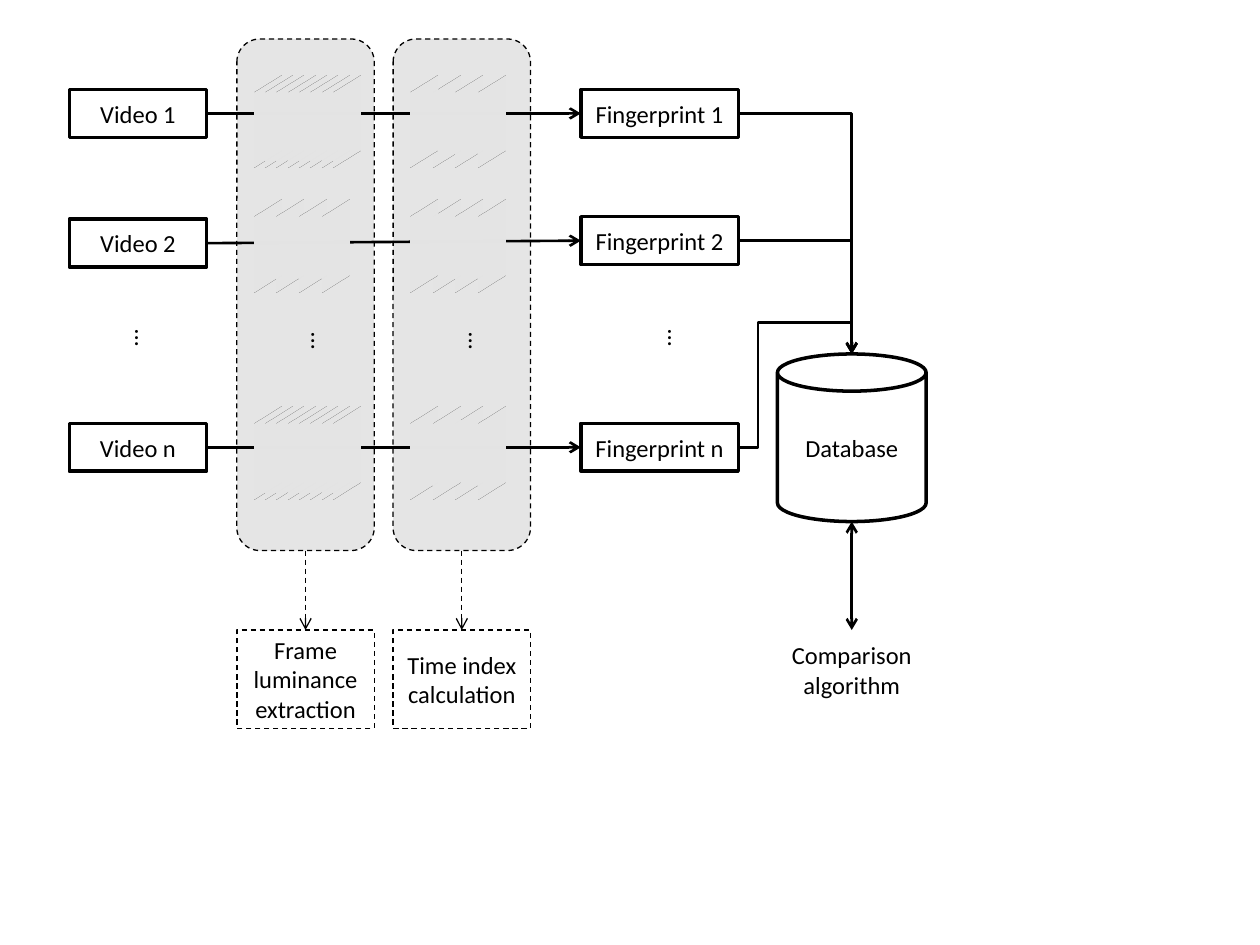
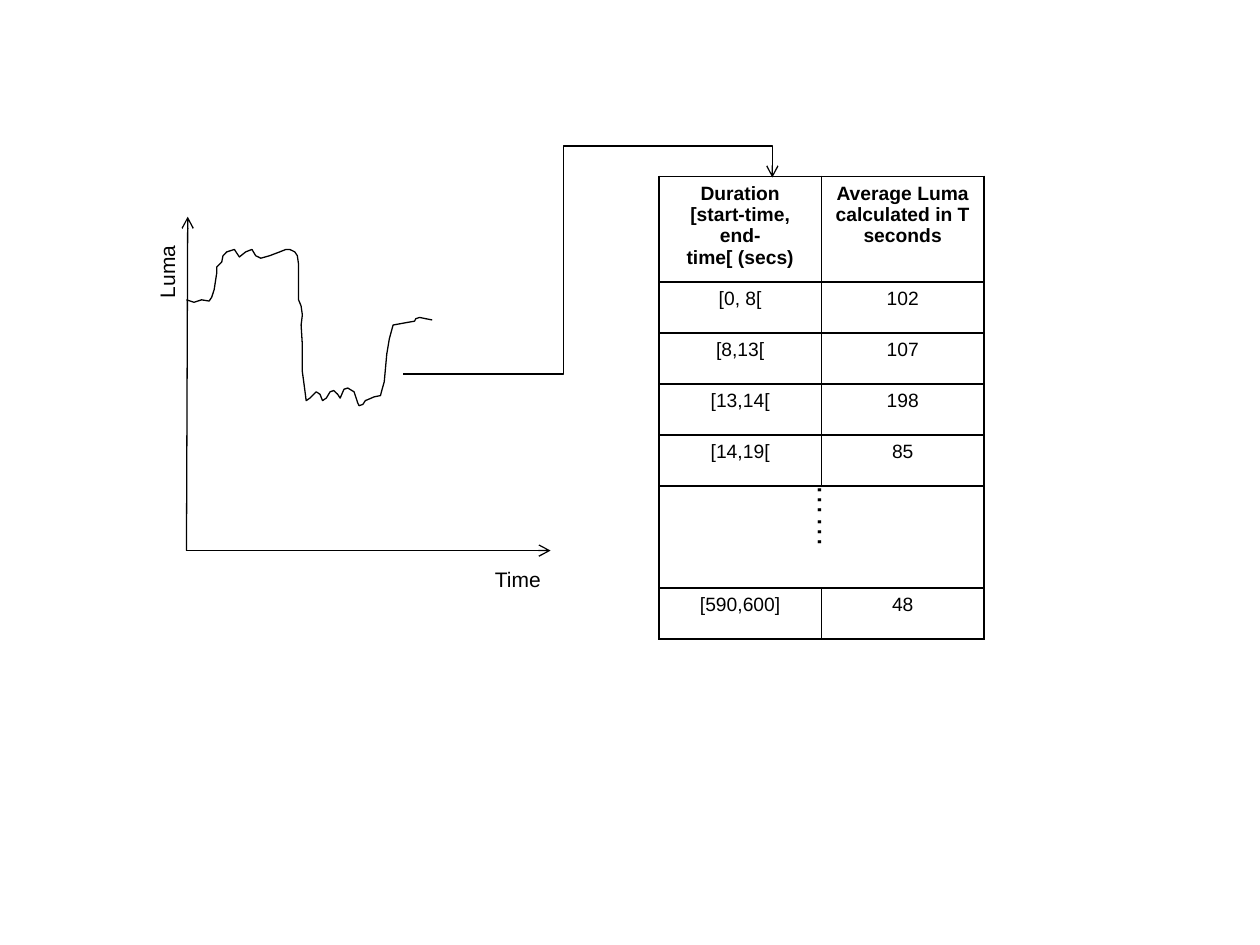
"""Build two slides: a video fingerprinting flow and a luma curve with its index table."""
from itertools import product

from lxml.etree import SubElement
from pptx import Presentation
from pptx.dml.color import RGBColor
from pptx.enum.dml import MSO_LINE
from pptx.enum.shapes import MSO_CONNECTOR, MSO_SHAPE
from pptx.enum.text import MSO_ANCHOR, PP_ALIGN
from pptx.oxml.ns import qn
from pptx.util import Inches, Pt

BLACK, WHITE = "000000", "FFFFFF"
rgb = RGBColor.from_string


def style(sp, width, fill=None, line=BLACK, dash=False, alpha=None, ends=(), bend=None, adj=(),
          camera=None):
    """Set fill, line, arrowheads, bend and camera of a shape or connector, without a shadow."""
    spPr = sp._element.spPr
    if fill:
        sp.fill.solid()
        sp.fill.fore_color.rgb = rgb(fill)
    elif hasattr(sp, "fill"):
        sp.fill.background()
    if alpha:
        SubElement(spPr.find(".//" + qn("a:srgbClr")), qn("a:alpha"), val=str(alpha * 1000))
    sp.line.width = Pt(width)
    sp.line.color.rgb = rgb(line)
    if dash:
        sp.line.dash_style = MSO_LINE.DASH
    for end in ends:
        SubElement(sp.line._get_or_add_ln(), qn(f"a:{end}End"), type="arrow")
    if bend:
        geom = spPr.find(qn("a:prstGeom"))
        geom.set("prst", bend)
        guides = geom.find(qn("a:avLst"))
        for i, share in enumerate(adj, 1):
            SubElement(guides, qn("a:gd"), name=f"adj{i}", fmla=f"val {round(share * 100000)}")
    SubElement(spPr, qn("a:effectLst"))
    if camera:
        scene = SubElement(spPr, qn("a:scene3d"))
        SubElement(scene, qn("a:camera"), prst=camera)
        SubElement(scene, qn("a:lightRig"), rig="threePt", dir="t")


def write(tf, text, size=14, name="Calibri", bold=False, align=PP_ALIGN.CENTER,
          anchor=MSO_ANCHOR.MIDDLE, wrap=True):
    """Put one paragraph per line of text into a text frame."""
    tf.word_wrap, tf.vertical_anchor = wrap, anchor
    for i, words in enumerate(text.split("\n")):
        p = tf.add_paragraph() if i else tf.paragraphs[0]
        p.alignment = align
        r = p.add_run()
        r.text = words
        for key, value in dict(size=Pt(size), name=name, bold=bold).items():
            setattr(r.font, key, value)
        r.font.color.rgb = rgb(BLACK)


prs = Presentation()
prs.slide_width, prs.slide_height = Inches(10), Inches(7.5)
blank = prs.slide_layouts[6]

s = prs.slides.add_slide(blank)
video_x, luma_x, index_x, print_x, base_x = 0.55, 1.88, 3.12, 4.61, 6.17
box_h, band_w, band_y, band_h, label_y = 0.38, 1.09, 0.31, 4.06, 5
print_w, base_w, base_y, base_h = 1.25, 1.18, 2.81, 1.33
print_right, base_mid = print_x + print_w, base_x + base_w / 2
frame_w, frame_h = 0.49, 0.63

# name, video top, fingerprint top, frame top, luma frames, luma step, index drawing order
tracks = [("1", 0.71, 0.71, 0.65, 8, 0.09, (1, 2, 3, 0)),
          ("2", 1.74, 1.72, 1.64, 4, 0.18, (1, 2, 3, 0)),
          ("n", 3.36, 3.36, 3.28, 8, 0.09, (0, 2, 3, 1))]
for name, video_y, print_y, frame_y, count, step, order in tracks:
    ends = []
    for label, x, y, w in [("Video", video_x, video_y, band_w),
                           ("Fingerprint", print_x, print_y, print_w)]:
        sp = s.shapes.add_shape(MSO_SHAPE.RECTANGLE, *map(Inches, (x, y, w, box_h)))
        style(sp, 2, WHITE)
        write(sp.text_frame, f"{label} {name}")
        ends.append(sp)
    flow = s.shapes.add_connector(MSO_CONNECTOR.STRAIGHT, 0, 0, 0, 0)
    flow.begin_connect(ends[0], 3)
    flow.end_connect(ends[1], 1)
    style(flow, 1.5, ends=["tail"])

    lefts = [luma_x + i * step for i in range(count)] + [index_x + i * 0.18 for i in order]
    for x in lefts:
        sp = s.shapes.add_shape(MSO_SHAPE.RECTANGLE, *map(Inches, (x, frame_y, frame_w, frame_h)))
        style(sp, 2, WHITE, camera="isometricOffAxis2Right")

    mid = print_y + box_h / 2
    bend, adj = "bentConnector2", ()
    if mid > base_y:
        bend, adj = "bentConnector4", (0.174, 1.339)
    feed = s.shapes.add_connector(MSO_CONNECTOR.ELBOW,
                                  *map(Inches, (print_right, mid, base_mid, base_y)))
    style(feed, 1.5, ends=["tail"], bend=bend, adj=adj)

for x, y in [(0.59, 2.53), (1.99, 2.55), (3.24, 2.55), (4.82, 2.53)]:
    sp = s.shapes.add_textbox(*map(Inches, (x, y, 0.83, 0.31)))
    sp.rotation = 270
    write(sp.text_frame, "…", anchor=MSO_ANCHOR.TOP)

for x, label in [(luma_x, "Frame luminance extraction"), (index_x, "Time index calculation")]:
    band = s.shapes.add_shape(MSO_SHAPE.ROUNDED_RECTANGLE,
                              *map(Inches, (x, band_y, band_w, band_h)))
    style(band, 0.75, BLACK, dash=True, alpha=10)
    sp = s.shapes.add_shape(MSO_SHAPE.RECTANGLE, *map(Inches, (x, label_y, band_w, 0.78)))
    style(sp, 0.75, WHITE, dash=True)
    write(sp.text_frame, label)
    down = s.shapes.add_connector(MSO_CONNECTOR.STRAIGHT, 0, 0, 0, 0)
    down.begin_connect(band, 2)
    down.end_connect(sp, 0)
    style(down, 0.75, dash=True, ends=["tail"])

can = s.shapes.add_shape(MSO_SHAPE.CAN, *map(Inches, (base_x, base_y, base_w, base_h)))
style(can, 2)
for y, w, h, label in [(3.28, 1.02, 0.55, "Database"),
                       (label_y, base_w, 0.63, "Comparison algorithm")]:
    sp = s.shapes.add_shape(MSO_SHAPE.RECTANGLE, *map(Inches, (base_mid - w / 2, y, w, h)))
    style(sp, 2, WHITE, WHITE)
    write(sp.text_frame, label)
query = s.shapes.add_connector(MSO_CONNECTOR.STRAIGHT,
                               *map(Inches, (base_mid, base_y + base_h, base_mid, label_y)))
query.end_connect(sp, 0)
style(query, 1.5, ends=["head", "tail"])

s = prs.slides.add_slide(blank)
origin_x, origin_y, table_x, table_y, col_w, row_h = 1.48, 4.37, 5.23, 1.4, 1.29, 0.81 / 2
for x, y in [(1.49, 1.72), (4.37, origin_y)]:
    axis = s.shapes.add_connector(MSO_CONNECTOR.STRAIGHT,
                                  *map(Inches, (origin_x, origin_y, x, y)))
    style(axis, 0.75, ends=["tail"])

curve = [
    (1.48, 2.38), (1.54, 2.4), (1.6, 2.38), (1.66, 2.39), (1.68, 2.36), (1.7, 2.3), (1.72, 2.17),
    (1.72, 2.12), (1.76, 2.08), (1.77, 2.03), (1.8, 2), (1.86, 1.98), (1.9, 2.04), (1.95, 2),
    (2, 1.98), (2.03, 2.03), (2.07, 2.05), (2.14, 2.03), (2.22, 2), (2.27, 1.98), (2.3, 1.98),
    (2.34, 2), (2.36, 2.03), (2.37, 2.1), (2.37, 2.38), (2.39, 2.43), (2.4, 2.5), (2.39, 2.58),
    (2.4, 2.74), (2.4, 2.95), (2.42, 3.1), (2.43, 3.18), (2.46, 3.16), (2.51, 3.11),
    (2.54, 3.13), (2.56, 3.18), (2.59, 3.16), (2.62, 3.11), (2.65, 3.1), (2.68, 3.13),
    (2.7, 3.16), (2.73, 3.09), (2.76, 3.08), (2.81, 3.11), (2.84, 3.2), (2.85, 3.22),
    (2.88, 3.21), (2.9, 3.18), (2.97, 3.15), (3.02, 3.14), (3.03, 3.1), (3.05, 3.03),
    (3.07, 2.81), (3.09, 2.69), (3.12, 2.58), (3.23, 2.56), (3.29, 2.55), (3.3, 2.53),
    (3.33, 2.52), (3.38, 2.53), (3.43, 2.54)]
points = [tuple(map(Inches, point)) for point in curve]
pen = s.shapes.build_freeform(*points[0])
pen.add_line_segments(points[1:], close=False)
style(pen.convert_to_shape(), 0.75)

rows = [("Duration\n[start-time, end-time[ (secs)", "Average Luma calculated in T seconds"),
        ("[0, 8[", "102"), ("[8,13[", "107"), ("[13,14[", "198"), ("[14,19[", "85"),
        ("", ""), ("[590,600]", "48")]
heights = [0.84, *[row_h] * 4, 2 * row_h, row_h]
table = s.shapes.add_table(len(rows), 2, *map(Inches, (table_x, table_y, 2 * col_w,
                                                       sum(heights)))).table
for row, h in zip(table.rows, heights):
    row.height = Inches(h)
for i, j in product(range(len(rows)), range(2)):
    cell = table.cell(i, j)
    tcPr = cell._tc.get_or_add_tcPr()
    for side in ("L", "R", "T", "B"):
        ln = SubElement(tcPr, qn(f"a:ln{side}"), w=str(Pt(1)))
        SubElement(SubElement(ln, qn("a:solidFill")), qn("a:srgbClr"), val=BLACK)
    cell.fill.solid()
    cell.fill.fore_color.rgb = rgb(WHITE)
    if rows[i][j]:
        write(cell.text_frame, rows[i][j], 11, "Arial", i == 0, anchor=MSO_ANCHOR.TOP)
table.cell(5, 0).merge(table.cell(5, 1))

lookup = s.shapes.add_connector(MSO_CONNECTOR.ELBOW, *map(Inches, (3.2, 2.97, 6.13, 1.41)))
style(lookup, 0.75, ends=["tail"], bend="bentConnector4", adj=(0.434, 1.16))

for text, box, turn, size, wrap in [("Luma", (0.99, 1.98, 0.67, 0.3), 270, 12, False),
                                    ("……", (6.24, 3.9, 0.7, 0.4), 90, 18, True),
                                    ("Time", (3.83, 4.45, 0.57, 0.3), 0, 12, False)]:
    sp = s.shapes.add_textbox(*map(Inches, box))
    sp.rotation = turn
    write(sp.text_frame, text, size, "Arial", align=PP_ALIGN.LEFT, anchor=MSO_ANCHOR.TOP,
          wrap=wrap)

prs.save("out.pptx")
